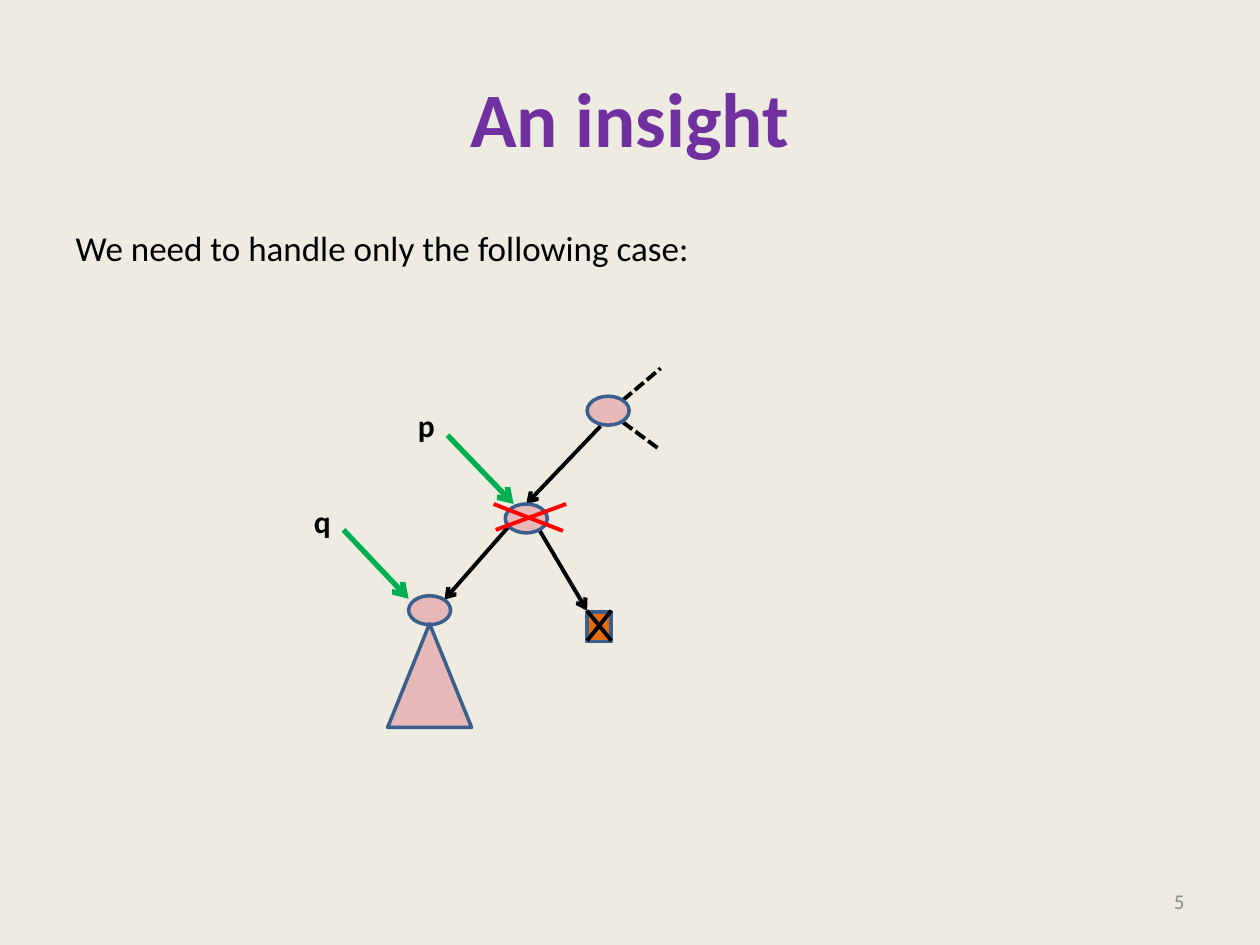
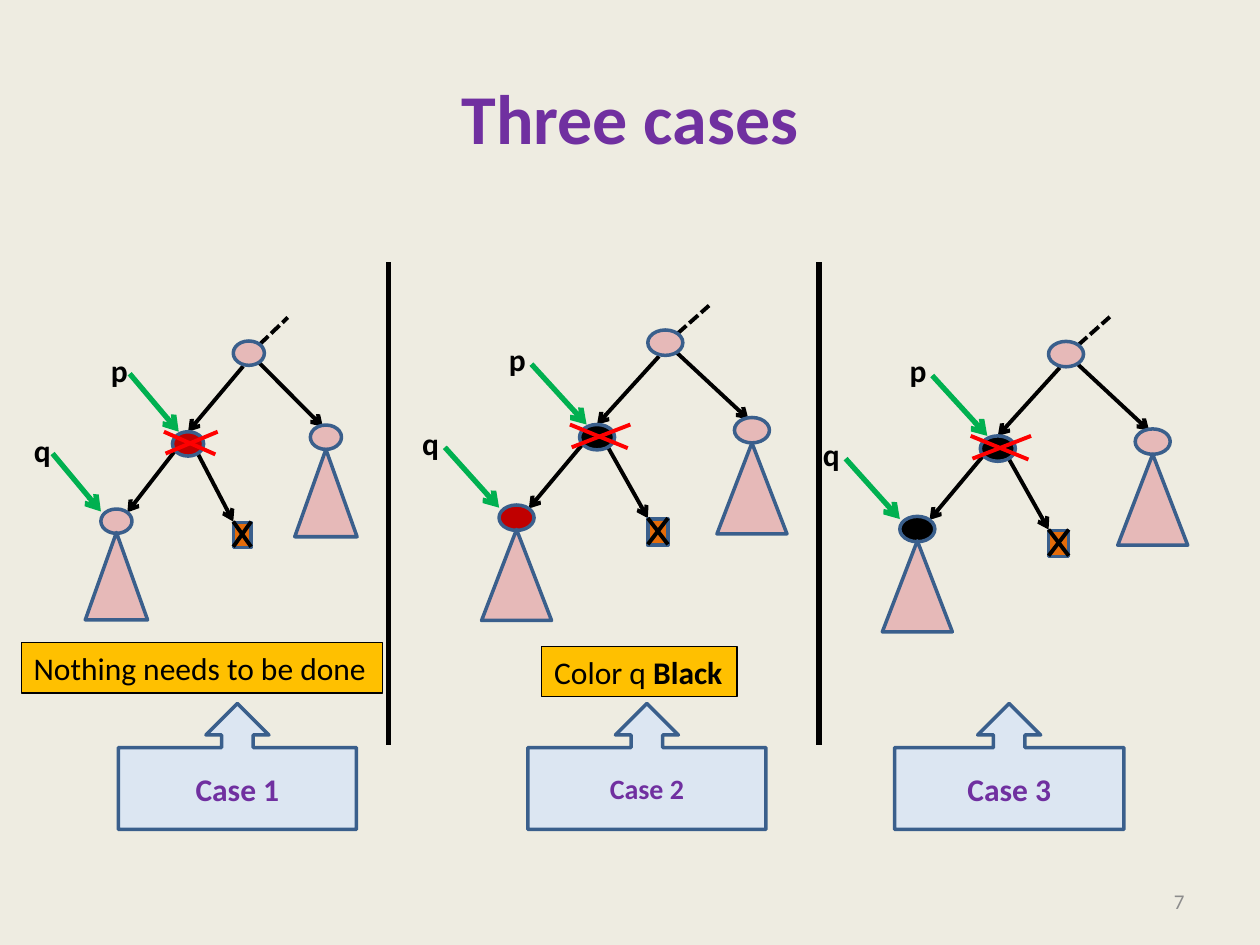
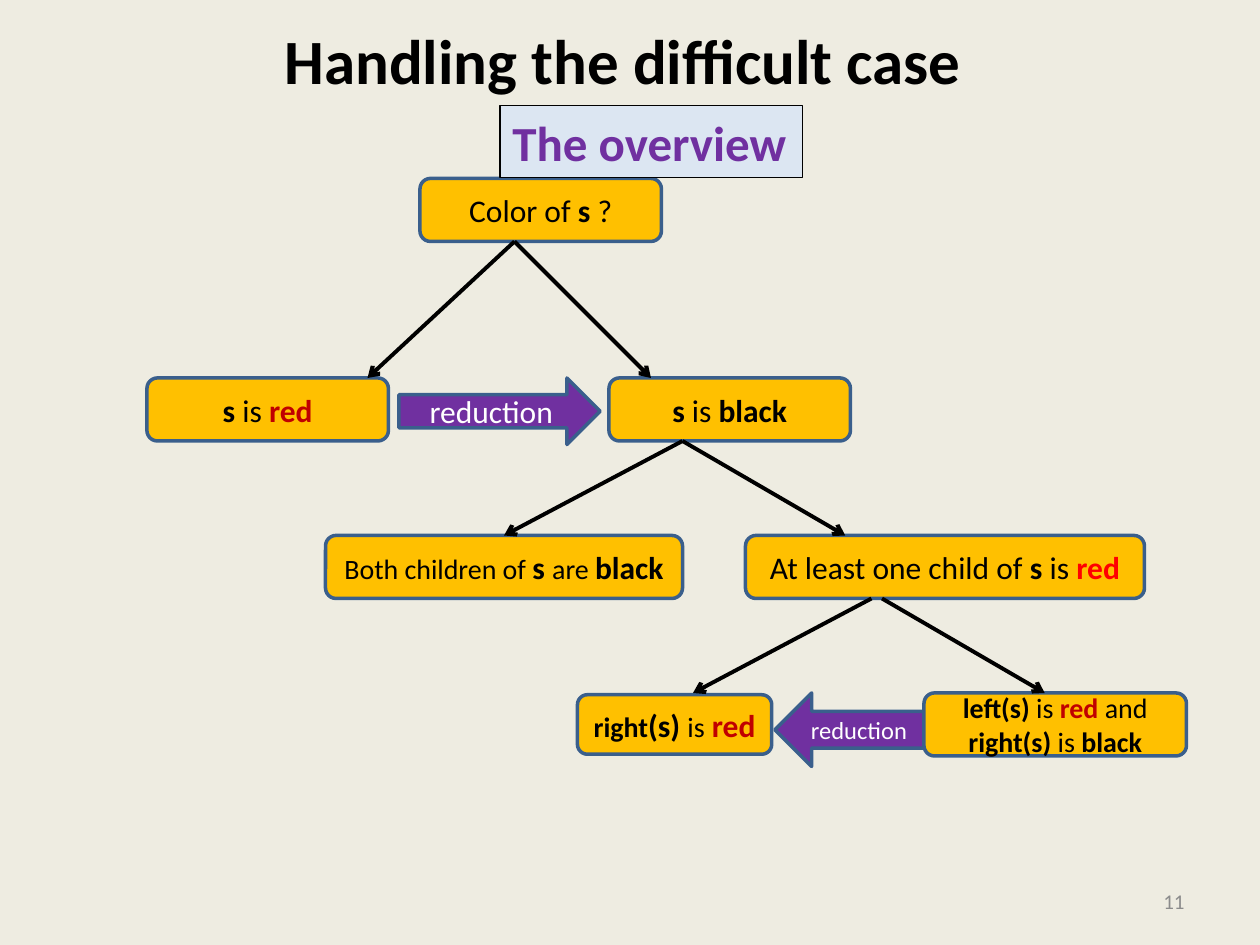
from lxml.etree import SubElement
from pptx import Presentation
from pptx.dml.color import RGBColor
from pptx.enum.dml import MSO_LINE
from pptx.enum.shapes import MSO_CONNECTOR, MSO_SHAPE
from pptx.enum.text import MSO_ANCHOR, MSO_AUTO_SIZE, PP_ALIGN
from pptx.oxml.ns import qn
from pptx.util import Pt

FONT = "Calibri"
COLORS = {
    "background": "EEECE1", "black": "000000", "white": "FFFFFF", "purple": "7030A0",
    "number": "8C8C8C", "green": "00B050", "pink": "E6B9B8", "outline": "3A5F8C",
    "orange": "E46C0A", "cross": "FF0000", "red": "C00000", "gold": "FFC000", "pale": "DCE6F2",
}

# Tree geometry in points, measured from the top left corner of the deleted node p.
NODE_SIZE = (20, 14.5)
SUBTREE_SIZE = (40, 52)
LEAF = (39, 54, 11.5, 15)
LABEL_SIZE = (20, 26)
NODES = {"parent": (39, -54), "p": (0, 0), "q": (-46, 46), "sibling": (88.5, -4)}
SUBTREES = {"q": (-56, 60), "sibling": (78.5, 10.5)}
TREE_EDGES = [(45.4, -39, 10, 0), (3.6, 9, -29, 48), (16.5, 13.5, 39, 53.5)]
SIBLING_EDGE = (54, -42.5, 96.5, -3)
UPPER_DASH = (56, -52, 74, -68)
LOWER_DASH = (56, -41, 74, -27)
LEAF_CROSS = [(50.5, 53.5, 39, 68.5), (39, 53.5, 50.5, 68.5)]
DELETE_CROSS = [(-4.5, 13, 29, 0), (-5.5, 0, 27.5, 13.5)]
POINTERS = {
    "p": ((-27.5, -34.5, 4, 0), (-47.5, -52)),
    "q": ((-77, 13, -46, 47.5), (-97, -4)),
}

# Runs are (text, size, colour, bold).
CASES = [
    {"origin": (98.6, 246.7), "scale": (0.89, 0.96), "colors": {"p": "red"},
     "callout": (67.7, 402, 136, 72), "label": ("Case 1", 18, "purple", True),
     "action_box": (12.2, 367.2, 206.6, 28.8),
     "action": [("Nothing needs to be done", 18, "black", False)]},
    {"origin": (331.2, 242.6), "scale": (1, 1), "colors": {"p": "black", "q": "red"},
     "callout": (301.7, 402, 136, 72), "label": ("Case 2", 16, "purple", True),
     "action_box": (309.6, 369.4, 111.6, 28.8),
     "action": [("Color q ", 18, "black", False), ("Black", 18, "black", True)]},
    {"origin": (560.2, 249.1), "scale": (1, 1), "colors": {"p": "black", "q": "black"},
     "callout": (511.2, 402, 131, 72), "label": ("Case 3", 18, "purple", True)},
]
CASE_DIVIDERS = [222, 468]

DECISIONS = {
    "color of s": ((240, 102, 138, 36), [
        ("Color of ", 18, "black", False), ("s ", 18, "black", True),
        ("?", 18, "black", False)]),
    "s red": ((84, 216, 138, 36), [
        ("s ", 18, "black", True), ("is ", 18, "black", False), ("red", 18, "red", True)]),
    "s black": ((348, 216, 138, 36), [
        ("s ", 18, "black", True), ("is ", 18, "black", False), ("black", 18, "black", True)]),
    "both black": ((186, 306, 204, 36), [
        ("Both children of ", 16, "black", False), ("s ", 18, "black", True),
        ("are ", 16, "black", False), ("black", 18, "black", True)]),
    "one red": ((426, 306, 228, 36), [
        ("At least one child of ", 18, "black", False), ("s ", 18, "black", True),
        ("is ", 18, "black", False), ("red", 18, "cross", True)]),
    "right red": ((330, 397, 111, 34), [
        ("right", 16, "black", True), ("(s) ", 18, "black", True), ("is", 16, "black", False),
        (" ", 18, "white", False), ("red", 18, "red", True)]),
    "left red": ((528, 396, 150, 36), [
        ("left(s) ", 16, "black", True), ("is ", 16, "black", False),
        ("red ", 16, "red", True), ("and ", 16, "black", False),
        ("right(s) ", 16, "black", True), ("is", 16, "black", False),
        (" black", 16, "black", True)]),
}
# Each branch is (points, box whose top middle it reaches).
BRANCHES = [
    ((294, 138, 210, 216), None), ((294, 138, 372, 216), None),
    ((390, 252, 483, 306), None), ((390, 252, 288, 306), "both black"),
    ((504, 342, 597, 396), None), ((498, 342, 396, 396), None),
]
REDUCTIONS = [
    (MSO_SHAPE.RIGHT_ARROW, (228, 216, 115, 38), 18),
    (MSO_SHAPE.LEFT_ARROW, (442.8, 396, 85.7, 42), 14),
]


def color(name):
    return RGBColor.from_string(COLORS[name])


def lengths(values):
    return [Pt(value) for value in values]


def write(text_frame, runs, align=PP_ALIGN.LEFT):
    paragraph = text_frame.paragraphs[0]
    paragraph.alignment = align
    for text, size, color_name, bold in runs:
        run = paragraph.add_run()
        run.text = text
        run.font.name = FONT
        run.font.size = Pt(size)
        run.font.bold = bold
        run.font.color.rgb = color(color_name)
    return paragraph


def add_box(slide, kind, box, fill, runs=()):
    shape = slide.shapes.add_shape(kind, *lengths(box))
    shape.shadow.inherit = False
    shape.fill.solid()
    shape.fill.fore_color.rgb = color(fill)
    shape.line.color.rgb = color("outline")
    shape.line.width = Pt(2)
    shape.text_frame.vertical_anchor = MSO_ANCHOR.MIDDLE
    write(shape.text_frame, runs, PP_ALIGN.CENTER)
    return shape


def add_label(slide, box, runs, fill=None):
    """Add a one-line text box, framed in black when it has a fill."""
    label = slide.shapes.add_textbox(*lengths(box))
    label.text_frame.word_wrap = False
    label.text_frame.auto_size = MSO_AUTO_SIZE.SHAPE_TO_FIT_TEXT
    write(label.text_frame, runs)
    if fill:
        label.fill.solid()
        label.fill.fore_color.rgb = color(fill)
        label.line.color.rgb = color("black")
        label.line.width = Pt(0.75)


def add_line(slide, points, color_name="black", width=2.25, arrow=False, dashed=False):
    connector = slide.shapes.add_connector(MSO_CONNECTOR.STRAIGHT, *lengths(points))
    connector.line.color.rgb = color(color_name)
    connector.line.width = Pt(width)
    if dashed:
        connector.line.dash_style = MSO_LINE.SQUARE_DOT
    properties = connector._element.spPr
    if arrow:
        SubElement(properties.find(qn("a:ln")), qn("a:tailEnd"), type="arrow")
    SubElement(properties, qn("a:effectLst"))
    return connector


def add_slide(presentation, layout, title, number, size, color_name="purple"):
    slide = presentation.slides.add_slide(presentation.slide_layouts[layout])
    write(slide.shapes.title.text_frame, [(title, size, color_name, True)], PP_ALIGN.CENTER)
    number_box = slide.shapes.add_textbox(*lengths((516, 500.5, 168, 28.8)))
    number_box.text_frame.word_wrap = True
    number_box.text_frame.vertical_anchor = MSO_ANCHOR.MIDDLE
    write(number_box.text_frame, [(number, 12, "number", False)], PP_ALIGN.RIGHT)
    return slide


def add_tree(slide, origin, scale, node_colors, with_sibling):
    """Draw the tree around the deleted node p, with or without its sibling's subtree."""
    def place(points):
        return [origin[i % 2] + value * scale[i % 2] for i, value in enumerate(points)]

    def place_box(position, size):
        return place(position) + [size[0] * scale[0], size[1] * scale[1]]

    shown = [name for name in NODES if with_sibling or name != "sibling"]
    for edge in TREE_EDGES + ([SIBLING_EDGE] if with_sibling else []):
        add_line(slide, place(edge), arrow=True)
    for dash in [UPPER_DASH] + ([] if with_sibling else [LOWER_DASH]):
        add_line(slide, place(dash), dashed=True)
    for name in shown:
        add_box(slide, MSO_SHAPE.OVAL, place_box(NODES[name], NODE_SIZE),
                node_colors.get(name, "pink"))
        if name in SUBTREES:
            add_box(slide, MSO_SHAPE.ISOSCELES_TRIANGLE,
                    place_box(SUBTREES[name], SUBTREE_SIZE), "pink")
    add_box(slide, MSO_SHAPE.RECTANGLE, place_box(LEAF[:2], LEAF[2:]), "orange")
    for stroke in LEAF_CROSS:
        add_line(slide, place(stroke))
    for name, (pointer, label) in POINTERS.items():
        add_line(slide, place(pointer), "green", 3, arrow=True)
        add_label(slide, place_box(label, LABEL_SIZE), [(name, 18, "black", True)])
    for stroke in DELETE_CROSS:
        add_line(slide, place(stroke), "cross")


def build_insight(presentation):
    slide = add_slide(presentation, 1, "An insight", "5", 44)
    body = slide.placeholders[1]
    paragraph = write(body.text_frame, [
        ("We need to handle only the following case:", 20, "black", False)])
    properties = paragraph._p.get_or_add_pPr()
    properties.set("marL", "0")
    properties.set("indent", "0")
    SubElement(properties, qn("a:buNone"))
    add_tree(slide, (288.7, 288), (1.2, 1.14), {}, with_sibling=False)


def build_cases(presentation):
    slide = add_slide(presentation, 5, "Three cases", "7", 40)
    for x in CASE_DIVIDERS:
        add_line(slide, (x, 150, x, 426), width=3)
    for case in CASES:
        add_tree(slide, case["origin"], case["scale"], case["colors"], with_sibling=True)
        add_box(slide, MSO_SHAPE.UP_ARROW_CALLOUT, case["callout"], "pale", [case["label"]])
        if "action" in case:
            add_label(slide, case["action_box"], case["action"], "gold")


def build_overview(presentation):
    slide = add_slide(presentation, 5, "Handling the difficult case ", "11", 36, "black")
    title = slide.shapes.title
    title.left, title.top, title.width, title.height = lengths((36, 8.6, 648, 90))
    title.text_frame.vertical_anchor = MSO_ANCHOR.TOP
    for kind, box, size in REDUCTIONS:
        add_box(slide, kind, box, "purple", [("reduction", size, "white", False)])
    boxes = {name: add_box(slide, MSO_SHAPE.ROUNDED_RECTANGLE, box, "gold", runs)
             for name, (box, runs) in DECISIONS.items()}
    for points, target in BRANCHES:
        branch = add_line(slide, points, arrow=True)
        if target:
            branch.end_connect(boxes[target], 0)
    add_label(slide, (285.8, 60.5, 172.8, 41), [("The overview", 28, "purple", True)], "pale")


def main():
    presentation = Presentation()
    presentation.slide_width, presentation.slide_height = Pt(720), Pt(540)
    background = presentation.slide_master.background.fill
    background.solid()
    background.fore_color.rgb = color("background")
    build_insight(presentation)
    build_cases(presentation)
    build_overview(presentation)
    presentation.save("out.pptx")


if __name__ == "__main__":
    main()
